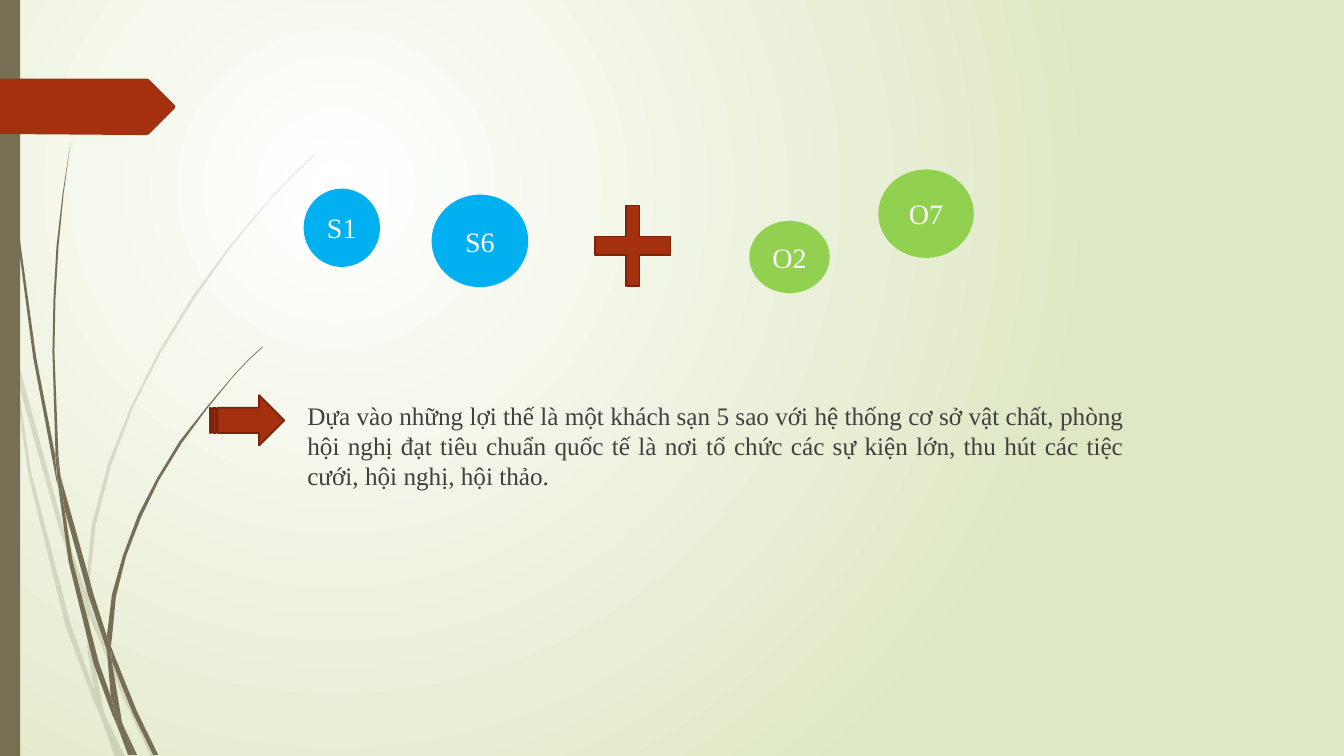
from lxml import etree
from pptx import Presentation
from pptx.dml.color import RGBColor
from pptx.enum.shapes import MSO_SHAPE
from pptx.enum.text import MSO_ANCHOR, PP_ALIGN
from pptx.oxml.ns import qn
from pptx.util import Pt

RECT, OVAL = MSO_SHAPE.RECTANGLE, MSO_SHAPE.OVAL
CROSS, ARROW = MSO_SHAPE.CROSS, MSO_SHAPE.STRIPED_RIGHT_ARROW
CENTER, JUSTIFY = PP_ALIGN.CENTER, PP_ALIGN.JUSTIFY
MIDDLE = MSO_ANCHOR.MIDDLE

PX = 9144  # 100 px to the inch
WIDE, HIGH = 1333, 750
FONT = "Times New Roman"
WHITE, PALE, GRAY = "FFFFFF", "DFE8C4", "404040"
OLIVE, RUST, DARK = "766F54", "A53010", "7A240C"
BLUE, GREEN = "00B0F0", "92D050"

NOTE = ("Dựa vào những lợi thế là một khách sạn 5 sao với hệ thống cơ sở vật chất, "
        "phòng hội nghị đạt tiêu chuẩn quốc tế là nơi tổ chức các sự kiện lớn, "
        "thu hút các tiệc cưới, hội nghị, hội thảo.")
NOTE_BOX = (295, 392, 830, 114)

# kind, box, fill, line, label
ITEMS = [
    (OVAL, (429, 194, 94, 90), BLUE, BLUE, "S6"),
    (CROSS, (590, 204, 75, 80), RUST, DARK, ""),
    (OVAL, (302, 188, 74, 76), BLUE, BLUE, "S1"),
    (OVAL, (744, 220, 78, 70), GREEN, GREEN, "O2"),
    (OVAL, (872, 169, 93, 86), GREEN, GREEN, "O7"),
    (ARROW, (208, 392, 74, 50), RUST, DARK, ""),
]

# Pieces of the grass blades, each a closed outline
FAINT = [
    [(11, 350), (9, 322), (0, 282), (0, 299), (10, 344)],
    [(58, 522), (84, 599), (85, 586), (62, 520), (14, 345), (17, 376)],
    [(92, 607), (88, 596), (88, 610), (123, 694), (150, 751), (155, 751), (127, 692)],
    [(119, 751), (124, 751), (105, 711)],
    [(93, 683), (70, 619), (31, 469), (17, 376), (11, 350), (28, 470), (65, 621),
     (92, 693), (101, 714), (99, 707)],
    [(84, 599), (87, 646), (93, 683), (96, 692), (105, 711), (103, 706), (91, 646),
     (88, 610), (88, 608)],
    [(88, 584), (95, 521), (110, 462), (132, 404), (160, 349), (193, 296), (229, 245),
     (268, 198), (290, 175), (312, 154), (312, 153), (289, 175), (268, 197), (228, 244),
     (191, 294), (158, 348), (130, 403), (107, 461), (91, 521), (85, 584), (85, 586),
     (88, 596)],
    [(101, 714), (114, 751), (119, 751)],
    [(88, 608), (88, 610), (88, 596), (85, 586), (84, 599)],
    [(96, 692), (93, 683), (99, 707), (101, 714), (119, 751), (105, 711)],
]
BOLD = [
    [(7, 110), (17, 233), (33, 355), (56, 477), (57, 481), (55, 457), (55, 453),
     (36, 355), (19, 232), (8, 109), (5, 48), (4, 0), (3, 0), (4, 48)],
    [(88, 592), (106, 645), (106, 633), (106, 631), (93, 590), (60, 472), (64, 505)],
    [(113, 649), (110, 641), (111, 656), (132, 708), (152, 749), (157, 749), (136, 706)],
    [(110, 691), (98, 657), (72, 556), (64, 505), (57, 477), (68, 557), (93, 659),
     (111, 708), (117, 722), (116, 717)],
    [(60, 472), (58, 453), (54, 349), (55, 297), (58, 245), (63, 193), (70, 141),
     (62, 193), (56, 245), (53, 297), (52, 349), (55, 449)],
    [(133, 749), (136, 749), (122, 719)],
    [(57, 477), (64, 505), (60, 472), (55, 449), (55, 453)],
    [(111, 633), (115, 592), (125, 552), (140, 513), (158, 476), (180, 440), (205, 406),
     (231, 374), (245, 359), (261, 344), (260, 344), (245, 358), (231, 373), (204, 405),
     (178, 438), (156, 474), (137, 511), (122, 551), (111, 590), (106, 631), (110, 641)],
    [(117, 722), (127, 749), (131, 749)],
    [(106, 645), (110, 691), (116, 706), (122, 719), (121, 716), (111, 656), (109, 651)],
    [(106, 645), (109, 651), (111, 656), (110, 641), (106, 631), (106, 633)],
    [(116, 706), (110, 691), (116, 717), (117, 722), (130, 749), (133, 749), (122, 719)],
]
TAG = [(173, 108), (148, 133), (146, 134), (136, 134), (0, 133), (0, 78), (136, 78),
       (146, 78), (148, 79), (173, 104), (174, 106)]


def rgb(code):
    return RGBColor.from_string(code)


def emu(box):
    return [n * PX for n in box]


def paint(shape, fill, line=None):
    shape.shadow.inherit = False
    shape.fill.solid()
    shape.fill.fore_color.rgb = rgb(fill)
    if line:
        shape.line.color.rgb = rgb(line)
        shape.line.width = Pt(1.25)
    else:
        shape.line.fill.background()


def write(shape, text, size, color, align):
    para = shape.text_frame.paragraphs[0]
    para.alignment = align
    run = para.add_run()
    run.text = text
    run.font.name = FONT
    run.font.size = Pt(size)
    run.font.color.rgb = rgb(color)


def outline(slide, points, fill, alpha=None):
    first, *rest = points
    pen = slide.shapes.build_freeform(*first, scale=PX)
    pen.add_line_segments(rest, close=True)
    shape = pen.convert_to_shape()
    paint(shape, fill)
    if alpha:
        tint = shape.element.spPr.find(qn("a:solidFill"))[0]
        etree.SubElement(tint, qn("a:alpha"), val=str(alpha * 1000))


def backdrop(slide):
    fill = slide.background.fill
    fill.gradient()
    for stop, color, pos in zip(fill.gradient_stops, (WHITE, PALE), (0, 1)):
        stop.color.rgb = rgb(color)
        stop.position = pos
    grad = slide.element.find(".//" + qn("a:gradFill"))
    for lin in grad.findall(qn("a:lin")):
        grad.remove(lin)
    ring = etree.SubElement(grad, qn("a:path"), path="circle")
    etree.SubElement(ring, qn("a:fillToRect"),
                     l="50000", t="50000", r="100000", b="100000")


def main():
    deck = Presentation()
    deck.slide_width, deck.slide_height = emu((WIDE, HIGH))
    slide = deck.slides.add_slide(deck.slide_layouts[6])
    backdrop(slide)

    # Grass, side bar and tag
    for pieces, alpha in ((FAINT, 20), (BOLD, None)):
        for piece in pieces:
            outline(slide, piece, OLIVE, alpha)
    bar = slide.shapes.add_shape(RECT, *emu((0, 0, 20, HIGH)))
    paint(bar, OLIVE)
    outline(slide, TAG, RUST)

    # Strategy note
    note = slide.shapes.add_textbox(*emu(NOTE_BOX))
    note.text_frame.word_wrap = True
    write(note, NOTE, 18, GRAY, JUSTIFY)

    # Circles, plus and arrow
    for kind, box, fill, line, label in ITEMS:
        shape = slide.shapes.add_shape(kind, *emu(box))
        paint(shape, fill, line)
        if kind == CROSS:
            shape.adjustments[0] = 0.41
        if label:
            shape.text_frame.vertical_anchor = MIDDLE
            write(shape, label, 20, WHITE, CENTER)

    deck.save("out.pptx")


if __name__ == "__main__":
    main()
